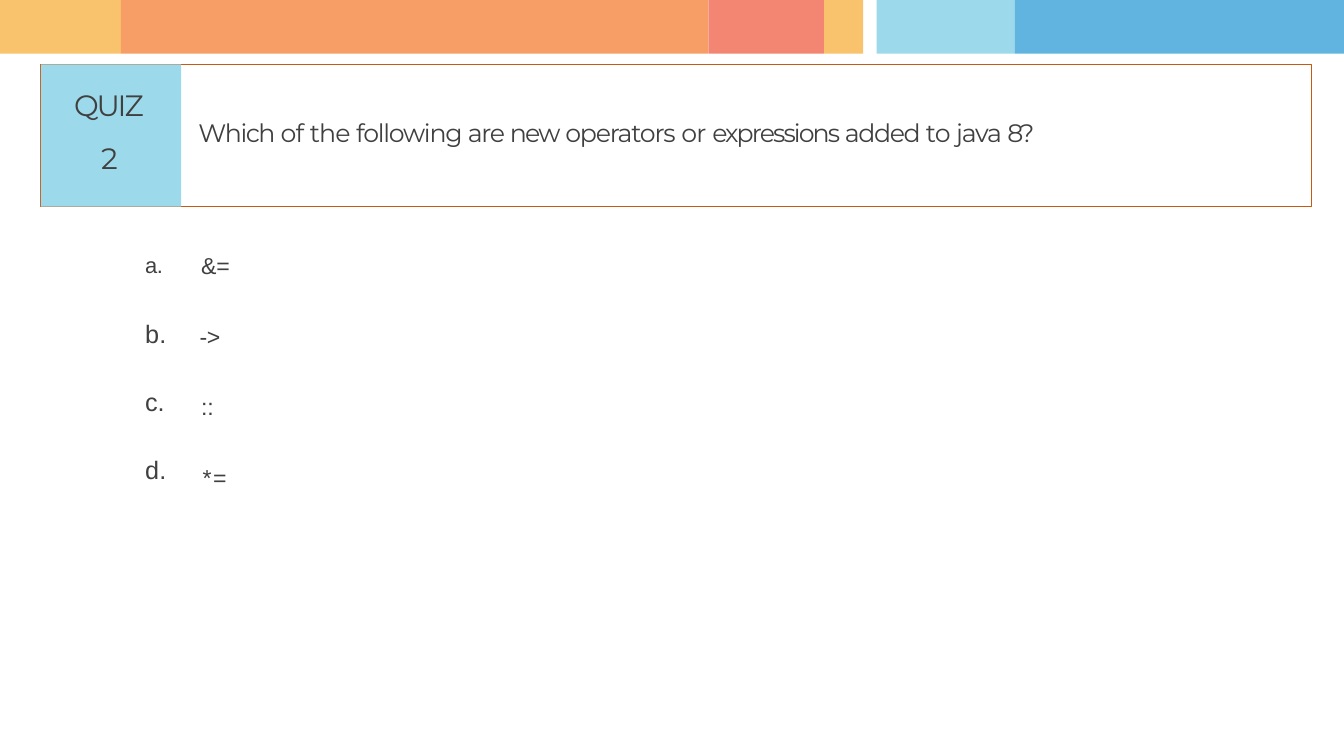
from lxml.etree import SubElement
from pptx import Presentation
from pptx.dml.color import RGBColor
from pptx.enum.shapes import MSO_CONNECTOR, MSO_SHAPE
from pptx.enum.text import MSO_ANCHOR, PP_ALIGN
from pptx.oxml.ns import qn
from pptx.util import Cm, Pt

COLORS = {
    "yellow": "F9C36E", "orange": "F69E66", "coral": "F38573",
    "sky": "9CDAEB", "blue": "60B4DF", "rust": "C55A11", "ink": "404040",
}
SLIDE_W, SLIDE_H = 45.16, 25.4
BAND_H = 1.8

# Colour, left and right edge of each block in the top band
BAND = [
    ("yellow", 0, 4.06), ("orange", 4.06, 23.8), ("coral", 23.8, 27.69),
    ("yellow", 27.69, 29.0), ("sky", 29.46, 34.1), ("blue", 34.1, SLIDE_W),
]
# Words of the question with their letter spacing in points
QUESTION = [
    ("Which ", -1.4), ("of ", -0.8), ("the ", -0.9), ("following ", -1.2),
    ("are", -1.3), (" new ", -1.7), ("operators ", -1.1), ("or ", -0.7),
    ("expressions ", -1.8), ("added ", -1.3), ("to ", -0.9),
    ("java ", -1.2), ("8?", -3.1),
]


def color(name):
    return RGBColor.from_string(COLORS[name])


def format_run(run, size, font, spacing):
    run.font.size = Pt(size)
    run.font.name = font
    run.font.bold = False
    run.font.color.rgb = color("ink")
    run._r.get_or_add_rPr().set("spc", str(round(spacing * 100)))


def set_insets(frame, left=0, top=0, right=0):
    frame.margin_left, frame.margin_top = Cm(left), Cm(top)
    frame.margin_right, frame.margin_bottom = Cm(right), 0
    frame.vertical_anchor = MSO_ANCHOR.TOP


def add_text(slide, box, runs, size, font, inset=0.03):
    """Place one line made of (text, letter spacing) runs."""
    frame = slide.shapes.add_textbox(*map(Cm, box)).text_frame
    frame.word_wrap = True
    set_insets(frame, left=inset, top=0.03)
    line = frame.paragraphs[0]
    for text, spacing in runs:
        run = line.add_run()
        run.text = text
        format_run(run, size, font, spacing)
    return line


def add_rect(slide, box, fill=None, outline=None):
    rect = slide.shapes.add_shape(MSO_SHAPE.RECTANGLE, *map(Cm, box))
    rect.shadow.inherit = False
    if fill:
        rect.fill.solid()
        rect.fill.fore_color.rgb = color(fill)
    else:
        rect.fill.background()
    if outline:
        rect.line.color.rgb = color(outline)
        rect.line.width = Pt(0.96)
    else:
        rect.line.fill.background()


def add_band(slide, left, top, height):
    for fill, start, end in BAND:
        add_rect(slide, (left + start, top, end - start, height), fill)


def add_quiz_header(slide, left, top, width, height):
    label_w = 4.72
    add_rect(slide, (left, top, width, height), outline="rust")

    # Divider between label and question
    x = Cm(left + label_w - 0.02)
    divider = slide.shapes.add_connector(
        MSO_CONNECTOR.STRAIGHT, x, Cm(top), x, Cm(top + height))
    divider.line.color.rgb = color("rust")
    divider.line.width = Pt(0.48)
    SubElement(divider._element.spPr, qn("a:effectLst"))

    add_text(slide, (left + label_w, top + 1.75, width - label_w, 1.09),
             QUESTION, 24, "Montserrat", inset=0.58)

    # Quiz label, brought in front of the frame
    title = slide.shapes.title
    slide.shapes._spTree.append(title._element)
    title.left, title.top = Cm(left), Cm(top)
    title.width, title.height = Cm(label_w), Cm(height)
    title.fill.solid()
    title.fill.fore_color.rgb = color("sky")
    frame = title.text_frame
    frame.text = "QUIZ 2"
    frame.word_wrap = True
    set_insets(frame, top=0.15, right=1.1)
    label = frame.paragraphs[0]
    label.alignment = PP_ALIGN.LEFT
    label.line_spacing = 1.51
    properties = label._p.get_or_add_pPr()
    properties.set("marL", str(Cm(2.03)))
    properties.set("indent", str(Cm(-0.91)))
    format_run(label.runs[0], 28, "Montserrat", -2)


def add_answers(slide, left, top):
    # The first answer holds letter and operator on one tabbed line
    first = add_text(slide, (left, top - 0.03, 2.92, 0.99),
                     [("a.\t", -0.4), ("&=", -0.2)], 22, "Arial")
    first.line_spacing = Pt(27.8)
    tabs = SubElement(first._p.get_or_add_pPr(), qn("a:tabLst"))
    SubElement(tabs, qn("a:tab"), pos=str(Cm(1.88)), algn="l")
    letter = first.runs[0]
    letter.font.size = Pt(36)
    letter._r.get_or_add_rPr().set("baseline", "1000")

    # The others have a letter and an operator side by side
    others = [("b.", 0.2, "->", -0.5), ("c.", -0.2, "::", -0.2),
              ("d.", 0.2, "*=", 1.4)]
    for row, (letter, letter_gap, operator, operator_gap) in enumerate(others):
        add_text(slide, (left, top + 2.19 + 2.29 * row, 0.9, 1.09),
                 [(letter, letter_gap)], 24, "Arial")
        add_text(slide, (left + 1.83 + 0.05 * row, top + 2.31 + 2.37 * row, 1, 0.99),
                 [(operator, operator_gap)], 22, "Arial")


def main():
    deck = Presentation()
    deck.slide_width, deck.slide_height = Cm(SLIDE_W), Cm(SLIDE_H)
    slide = deck.slides.add_slide(deck.slide_layouts[5])
    add_band(slide, 0, 0, BAND_H)
    add_quiz_header(slide, 1.37, 2.16, 42.7, 4.78)
    add_answers(slide, 4.85, 8.48)
    deck.save("out.pptx")


if __name__ == "__main__":
    main()
